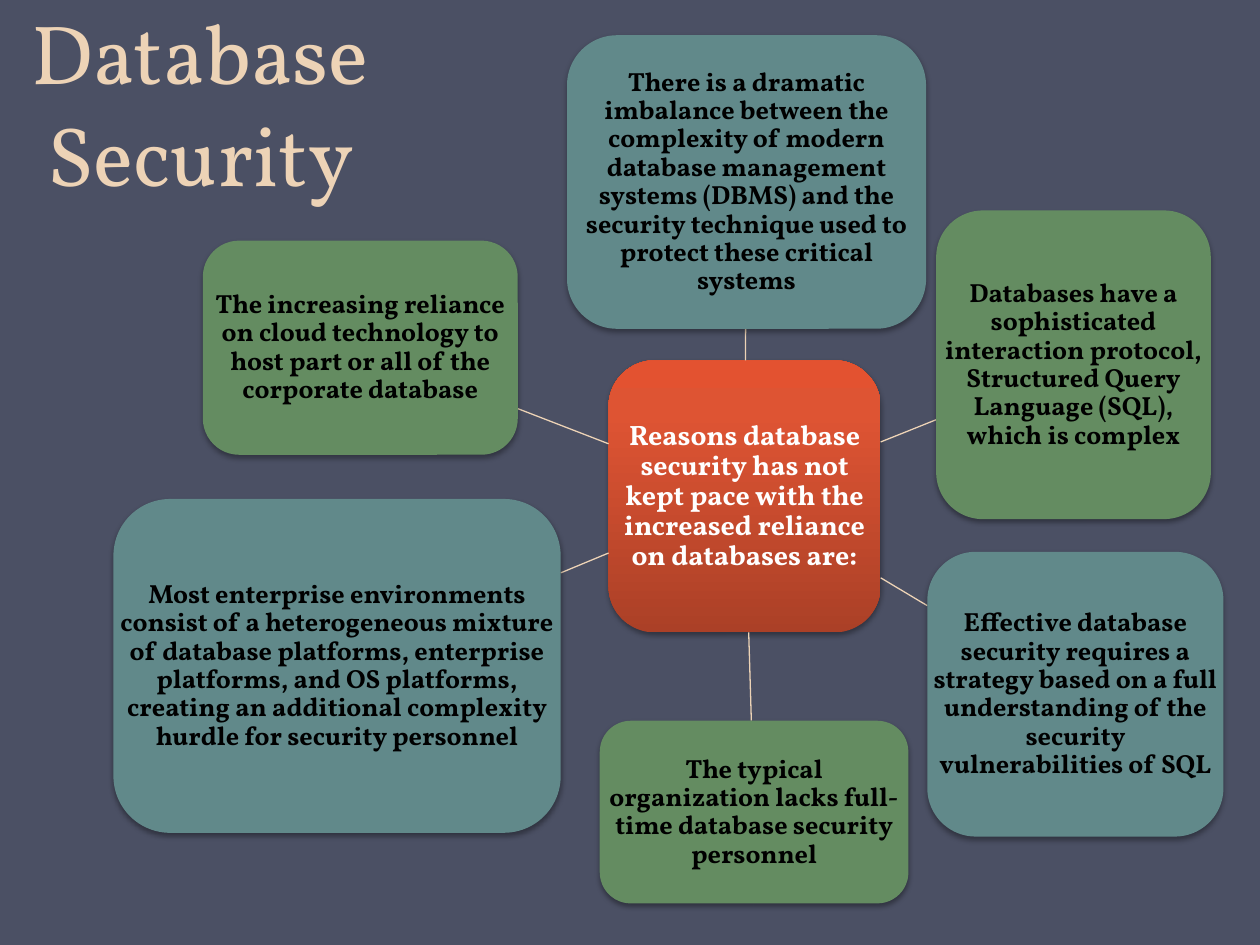
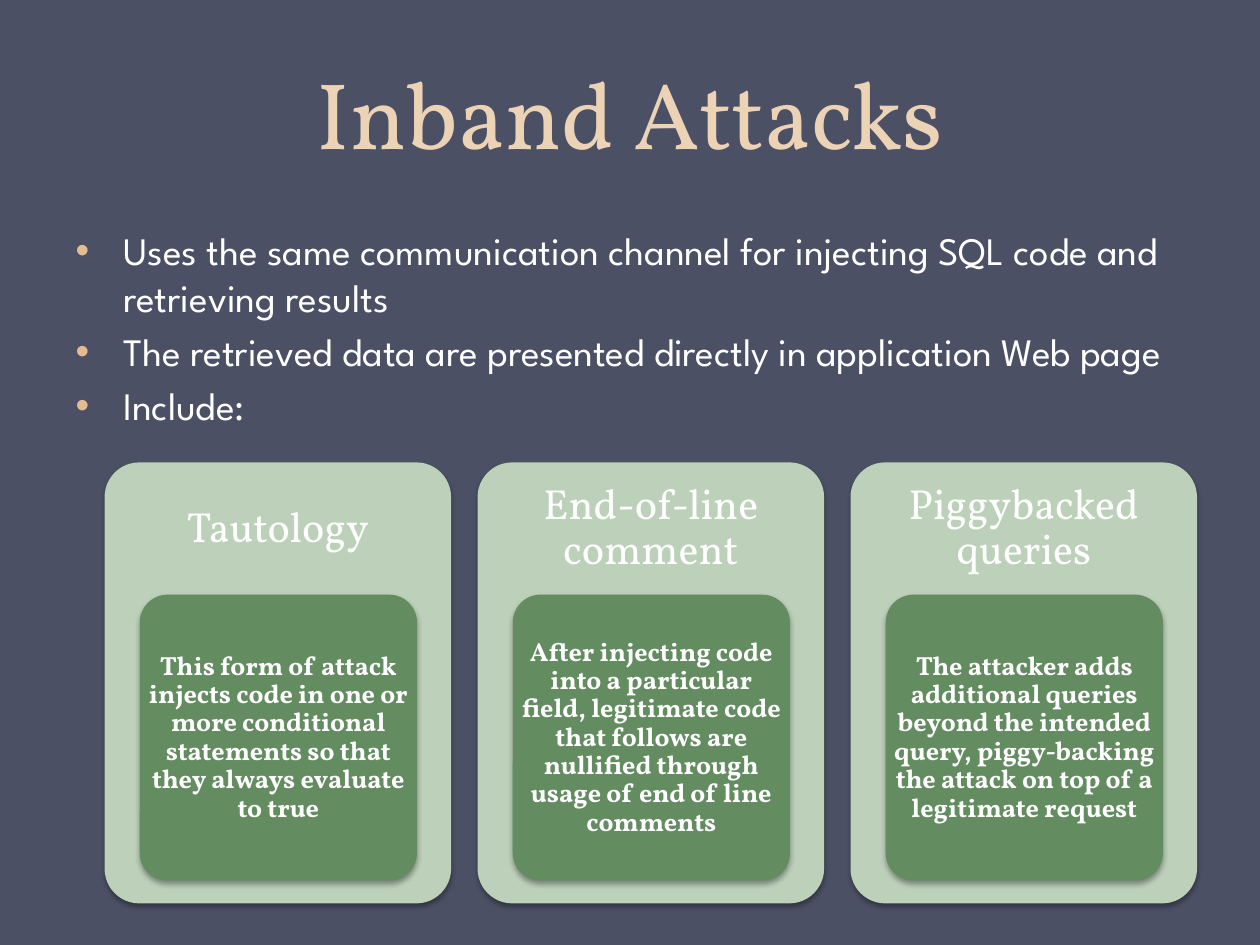
from copy import deepcopy

from pptx import Presentation
from pptx import util as u
from pptx.dml.color import RGBColor
from pptx.enum import shapes, text
from pptx.oxml import parse_xml
from pptx.oxml.ns import nsdecls, qn

BACKGROUND = RGBColor(0x4B, 0x50, 0x64)
SAND = RGBColor(0xED, 0xD3, 0xB6)
BULLET = RGBColor(0xE3, 0xBC, 0x92)
TEAL = RGBColor(0x61, 0x89, 0x8A)
GREEN = RGBColor(0x64, 0x8C, 0x61)
PALE_GREEN = RGBColor(0xBC, 0xD0, 0xBA)
WHITE = RGBColor(0xFF, 0xFF, 0xFF)
BLACK = RGBColor(0x00, 0x00, 0x00)
HUB_GRADIENT = (
    (0, RGBColor(0xAB, 0x40, 0x27)),
    (0.8, RGBColor(0xDE, 0x54, 0x33)),
    (1, RGBColor(0xE3, 0x52, 0x30)),
)
SERIF = "Vollkorn"
SANS = "League Spartan"

HUB = (4.83, 2.86, 2.16, 2.16)
HUB_TEXT = "Reasons database security has not kept pace with the increased reliance on databases are:"
REASONS = (
    ((4.5, 0.28, 2.85, 2.33), TEAL,
     "There is a dramatic imbalance between the complexity of modern database management "
     "systems (DBMS) and the security technique used to protect these critical systems"),
    ((7.43, 1.67, 2.18, 2.45), GREEN,
     "Databases have a sophisticated interaction protocol, Structured Query Language (SQL), "
     "which is complex"),
    ((7.36, 4.38, 2.35, 2.26), TEAL,
     "Effective database security requires a strategy based on a full understanding of the "
     "security vulnerabilities of SQL"),
    ((4.76, 5.72, 2.45, 1.45), GREEN,
     "The typical organization lacks full-time database security personnel"),
    ((0.9, 3.96, 3.55, 2.65), TEAL,
     "Most enterprise environments consist of a heterogeneous mixture of database platforms, "
     "enterprise platforms, and OS platforms, creating an additional complexity hurdle for "
     "security personnel"),
    ((1.61, 1.91, 2.5, 1.7), GREEN,
     "The increasing reliance on cloud technology to host part or all of the corporate database"),
)

FEATURES = (
    "Uses the same communication channel for injecting SQL code and retrieving results",
    "The retrieved data are presented directly in application Web page",
    "Include:",
)
ATTACKS = (
    ("Tautology",
     "This form of attack injects code in one or more conditional statements so that they "
     "always evaluate to true"),
    ("End-of-line comment",
     "After injecting code into a particular field, legitimate code that follows are "
     "nullified through usage of end of line comments"),
    ("Piggybacked queries",
     "The attacker adds additional queries beyond the intended query, piggy-backing the "
     "attack on top of a legitimate request"),
)


def center(box):
    left, top, width, height = box
    return left + width / 2, top + height / 2


def edge_toward(box, target):
    x, y = center(box)
    dx, dy = target[0] - x, target[1] - y
    reach = min(size / 2 / abs(delta) for size, delta in zip(box[2:], (dx, dy)) if delta)
    return x + dx * reach, y + dy * reach


class Deck:
    def __init__(self):
        self.presentation = Presentation()
        self.presentation.slide_width = u.Inches(10)
        self.presentation.slide_height = u.Inches(7.5)
        fill = self.presentation.slide_master.background.fill
        fill.solid()
        fill.fore_color.rgb = BACKGROUND
        self.slide = None

    def add_slide(self, layout):
        self.slide = self.presentation.slides.add_slide(self.presentation.slide_layouts[layout])

    def format_runs(self, paragraph, size, color, font=SERIF, bold=False):
        for run in paragraph.runs:
            run.font.name = font
            run.font.size = u.Pt(size)
            run.font.bold = bold
            run.font.color.rgb = color

    def place(self, shape, box):
        shape.left, shape.top, shape.width, shape.height = map(u.Inches, box)
        shape.text_frame.word_wrap = True
        shape.text_frame.auto_size = text.MSO_AUTO_SIZE.NONE

    def title(self, words, box, size):
        title = self.slide.shapes.title
        self.place(title, box)
        title.text_frame.text = words
        title.text_frame.vertical_anchor = text.MSO_ANCHOR.BOTTOM
        paragraph = title.text_frame.paragraphs[0]
        paragraph.alignment = text.PP_ALIGN.CENTER
        paragraph.line_spacing = u.Pt(58)
        self.format_runs(paragraph, size, SAND)

    def bullets(self, items, box):
        body = self.slide.placeholders[1]
        self.place(body, box)
        body.text_frame.text = "\n".join(items)
        for index, paragraph in enumerate(body.text_frame.paragraphs):
            properties = paragraph._p.get_or_add_pPr()
            properties.set("marL", str(u.Inches(0.38)))
            properties.set("indent", str(u.Inches(-0.38)))
            properties.append(parse_xml(
                f'<a:buClr {nsdecls("a")}><a:srgbClr val="{BULLET}"/></a:buClr>'))
            properties.append(parse_xml(f'<a:buChar {nsdecls("a")} char="•"/>'))
            paragraph.space_before = u.Pt(4.4 if index else 0)
            self.format_runs(paragraph, 22.2, WHITE, SANS)

    def card(self, box, color=None, corner=0.17):
        card = self.slide.shapes.add_shape(
            shapes.MSO_SHAPE.ROUNDED_RECTANGLE, *map(u.Inches, box))
        card.adjustments[0] = corner
        card.line.fill.background()
        if color is None:
            self.hub_fill(card)
        else:
            card.fill.solid()
            card.fill.fore_color.rgb = color
        card.shadow.inherit = False
        card._element.spPr.find(qn("a:effectLst")).append(parse_xml(
            f'<a:outerShdw {nsdecls("a")} blurRad="{u.Pt(3.1)}" dist="{u.Pt(1.8)}" '
            'dir="5400000" rotWithShape="0"><a:srgbClr val="000000">'
            '<a:alpha val="35000"/></a:srgbClr></a:outerShdw>'))

    def hub_fill(self, card):
        card.fill.gradient()
        card.fill.gradient_angle = 90
        stop_list = next(card._element.spPr.iter(qn("a:gsLst")))
        stop_list.append(deepcopy(stop_list[-1]))
        for stop, (position, color) in zip(card.fill.gradient_stops, HUB_GRADIENT):
            stop.position = position
            stop.color.rgb = color

    def label(self, words, box, size, color, bold=True, inset=0.04):
        label = self.slide.shapes.add_textbox(*map(u.Inches, box))
        self.place(label, box)
        frame = label.text_frame
        frame.text = words
        frame.vertical_anchor = text.MSO_ANCHOR.MIDDLE
        frame.margin_left = frame.margin_right = u.Inches(inset)
        frame.margin_top = frame.margin_bottom = u.Inches(inset)
        paragraph = frame.paragraphs[0]
        paragraph.alignment = text.PP_ALIGN.CENTER
        paragraph.line_spacing = 0.9
        self.format_runs(paragraph, size, color, bold=bold)

    def spoke(self, start_box, end_box):
        start = edge_toward(start_box, center(end_box))
        end = edge_toward(end_box, center(start_box))
        spoke = self.slide.shapes.add_connector(
            shapes.MSO_CONNECTOR.STRAIGHT, *map(u.Inches, start + end))
        spoke.line.color.rgb = SAND
        spoke.line.width = u.Pt(0.75)
        spoke._element.spPr.append(parse_xml(f'<a:effectLst {nsdecls("a")}/>'))


def build_reasons(deck):
    deck.add_slide(5)
    deck.title("Database Security", (-0.2, 0.04, 3.58, 1.62), 48)
    deck.card(HUB)
    deck.label(HUB_TEXT, HUB, 16, WHITE)
    for box, color, words in REASONS:
        deck.spoke(HUB, box)
        deck.card(box, color)
        deck.label(words, box, 15, BLACK)


def build_attacks(deck):
    deck.add_slide(1)
    deck.title("Inband Attacks", (0.5, 0, 9, 1.39), 54)
    deck.bullets(FEATURES, (0.5, 1.75, 9, 1.75))
    for index, (name, description) in enumerate(ATTACKS):
        left = 0.83 + index * 2.96
        inner = (left + 0.28, 4.72, 2.2, 2.27)
        deck.card((left, 3.67, 2.75, 3.5), PALE_GREEN, 0.1)
        deck.label(name, (left, 3.67, 2.75, 1.05), 24, WHITE, bold=False, inset=0.1)
        deck.card(inner, GREEN, 0.1)
        deck.label(description, inner, 15, WHITE)


def main():
    deck = Deck()
    build_reasons(deck)
    build_attacks(deck)
    deck.presentation.save("out.pptx")


if __name__ == "__main__":
    main()
